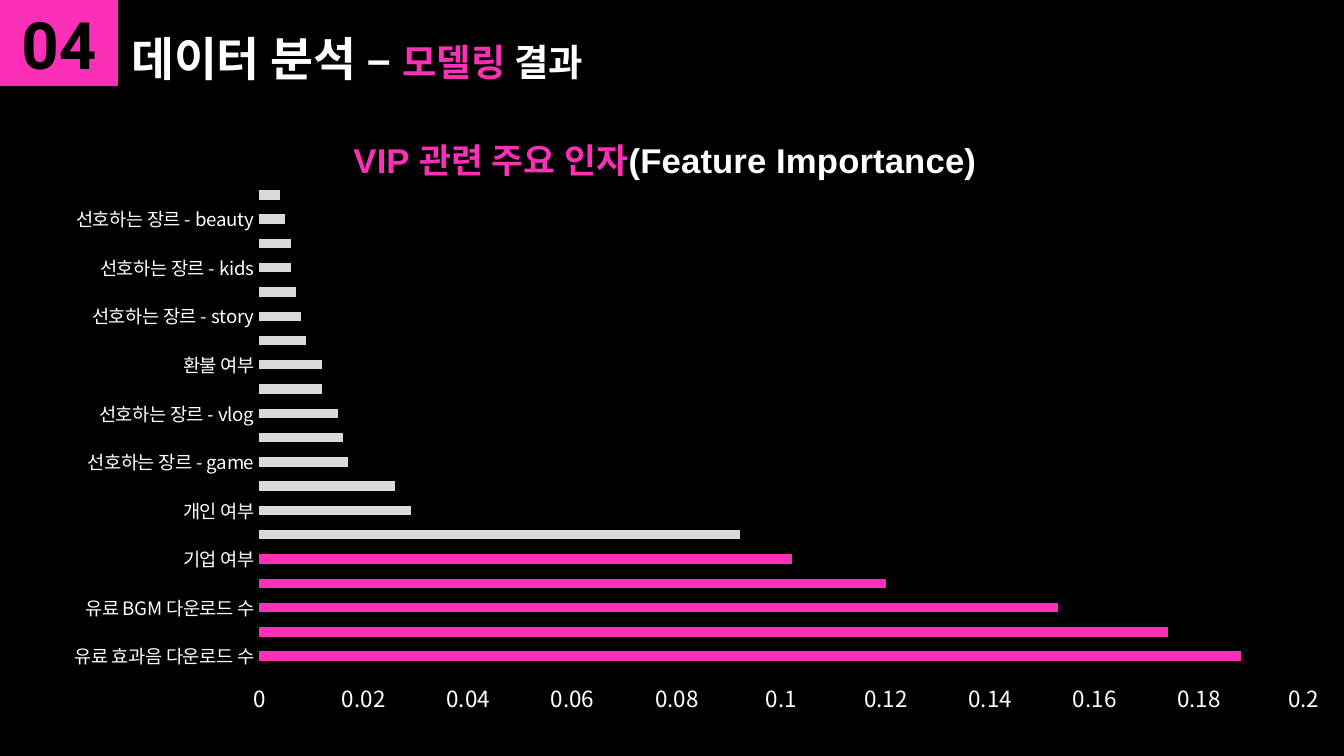
from dataclasses import dataclass

from lxml import etree
from pptx import Presentation
from pptx.chart.data import CategoryChartData
from pptx.dml.color import RGBColor
from pptx.enum.chart import XL_CHART_TYPE, XL_TICK_LABEL_POSITION, XL_TICK_MARK
from pptx.enum.shapes import MSO_SHAPE
from pptx.enum.text import MSO_ANCHOR, MSO_AUTO_SIZE, PP_ALIGN
from pptx.oxml.ns import qn
from pptx.util import Cm, Pt

BAR = XL_CHART_TYPE.BAR_CLUSTERED
LOW = XL_TICK_LABEL_POSITION.LOW
NO_TICK = XL_TICK_MARK.NONE
RECTANGLE = MSO_SHAPE.RECTANGLE
BOTTOM, MIDDLE = MSO_ANCHOR.BOTTOM, MSO_ANCHOR.MIDDLE
NO_FIT = MSO_AUTO_SIZE.NONE
LEFT, CENTER = PP_ALIGN.LEFT, PP_ALIGN.CENTER


@dataclass(frozen=True)
class Theme:
    black: RGBColor = RGBColor(0x00, 0x00, 0x00)
    white: RGBColor = RGBColor(0xFF, 0xFF, 0xFF)
    pink: RGBColor = RGBColor(0xFC, 0x30, 0xB6)
    gray: RGBColor = RGBColor(0xD9, 0xD9, 0xD9)
    korean: str = "Noto Sans CJK KR"
    latin: str = "Arial"
    digits: str = "Roboto"
    number: float = 35
    heading: float = 25
    subheading: float = 20
    chart_title: float = 18.6
    category: float = 10
    value: float = 12


THEME = Theme()

HIGHLIGHTED = 5
FEATURES = [
    ("유료 효과음 다운로드 수", 0.188),
    ("일일 로그인 횟수", 0.174),
    ("유료 BGM 다운로드 수", 0.153),
    ("무료 BGM 다운로드 수", 0.12),
    ("기업 여부", 0.102),
    ("무료 효과음 다운로드 수", 0.092),
    ("개인 여부", 0.029),
    ("학생 여부", 0.026),
    ("선호하는 장르 - game", 0.017),
    ("프리랜서 여부", 0.016),
    ("선호하는 장르 - vlog", 0.015),
    ("선호하는 장르 - talk", 0.012),
    ("환불 여부", 0.012),
    ("선호하는 장르 - review", 0.009),
    ("선호하는 장르 - story", 0.008),
    ("선호하는 장르 - eating", 0.007),
    ("선호하는 장르 - kids", 0.006),
    ("선호하는 장르 - pet", 0.006),
    ("선호하는 장르 - beauty", 0.005),
    ("선호하는 장르 - drone", 0.004),
]


def style_font(font, size, color, name, bold=False):
    font.size = Pt(size)
    font.bold = bold
    font.color.rgb = color
    font.name = name
    east_asian = etree.Element(qn("a:ea"), typeface=THEME.korean)
    font._rPr.find(qn("a:latin")).addnext(east_asian)


def add_span(para, text, size, color, name):
    span = para.add_run()
    span.text = text
    style_font(span.font, size, color, name, bold=True)


def set_layout(element, index, **settings):
    for old in element.findall(qn("c:layout")):
        element.remove(old)
    layout = etree.Element(qn("c:layout"))
    manual = etree.SubElement(layout, qn("c:manualLayout"))
    for name, value in settings.items():
        etree.SubElement(manual, qn(f"c:{name}"), val=str(value))
    element.insert(index, layout)


def add_number(page, left, top, width, height):
    box = page.shapes.add_shape(RECTANGLE, left, top, width, height)
    box.shadow.inherit = False
    box.fill.solid()
    box.fill.fore_color.rgb = THEME.pink
    box.line.fill.background()
    frame = box.text_frame
    frame.vertical_anchor = MIDDLE
    frame.margin_left = frame.margin_right = Cm(0.25)
    frame.margin_top = frame.margin_bottom = Cm(0.25)
    para = frame.paragraphs[0]
    para.alignment = CENTER
    add_span(para, "04", THEME.number, THEME.black, THEME.digits)


def place_heading(page, left, top, width, height):
    box = page.shapes.title
    box.left, box.top, box.width, box.height = left, top, width, height
    frame = box.text_frame
    frame.word_wrap = True
    frame.auto_size = NO_FIT
    frame.vertical_anchor = BOTTOM
    frame.margin_left = frame.margin_right = frame.margin_top = Cm(0.25)
    frame.margin_bottom = 0
    para = frame.paragraphs[0]
    para.alignment = LEFT
    for text, size, color in (
        ("데이터 분석 – ", THEME.heading, THEME.white),
        ("모델링", THEME.subheading, THEME.pink),
        (" 결과", THEME.subheading, THEME.white),
    ):
        add_span(para, text, size, color, THEME.korean)


def style_axis(axis, size):
    axis.major_tick_mark = axis.minor_tick_mark = NO_TICK
    axis.has_major_gridlines = False
    axis.format.line.fill.background()
    style_font(axis.tick_labels.font, size, THEME.white, THEME.korean)


def add_importance_chart(page, left, top, width, height):
    data = CategoryChartData()
    data.categories = [name for name, _ in FEATURES]
    data.add_series("Series 1", [value for _, value in FEATURES])
    chart = page.shapes.add_chart(BAR, left, top, width, height, data).chart
    chart.has_legend = False
    style_font(chart.font, THEME.category, THEME.white, THEME.latin)

    chart.has_title = True
    title = chart.chart_title
    para = title.text_frame.paragraphs[0]
    for text, color in (
        ("VIP 관련 주요 인자", THEME.pink),
        ("(Feature Importance)", THEME.white),
    ):
        add_span(para, text, THEME.chart_title, color, THEME.latin)
    set_layout(title._element, 1, xMode="edge", yMode="edge", x=0.26, y=0.04)

    plot = chart.plots[0]
    plot.gap_width = 157
    plot.overlap = -31
    plot.vary_by_categories = False
    series = plot.series[0]
    fills = [series.format.fill]
    fills += [series.points[i].format.fill for i in range(HIGHLIGHTED)]
    for fill, color in zip(fills, [THEME.gray] + [THEME.pink] * HIGHLIGHTED):
        fill.solid()
        fill.fore_color.rgb = color

    style_axis(chart.category_axis, THEME.category)
    style_axis(chart.value_axis, THEME.value)
    chart.value_axis.tick_label_position = LOW
    chart.value_axis.minimum_scale = 0
    chart.value_axis.maximum_scale = 0.2
    chart.value_axis.major_unit = 0.02
    chart.value_axis.tick_labels.number_format = "General"
    chart.value_axis.tick_labels.number_format_is_linked = False
    plot_area = chart._chartSpace.find(".//" + qn("c:plotArea"))
    set_layout(plot_area, 0, layoutTarget="inner", xMode="edge", yMode="edge",
               x=0.193, y=0.133, w=0.777, h=0.8)


def main():
    deck = Presentation()
    deck.slide_width, deck.slide_height = Cm(25.4), Cm(14.29)
    page = deck.slides.add_slide(deck.slide_layouts[5])
    page.background.fill.solid()
    page.background.fill.fore_color.rgb = THEME.black

    number_width, header_height = Cm(2.23), Cm(1.63)
    place_heading(page, number_width, 0, Cm(12.65), header_height)
    add_number(page, 0, 0, number_width, header_height)
    add_importance_chart(page, 0, Cm(1.93), deck.slide_width, Cm(11.58))
    deck.save("out.pptx")


if __name__ == "__main__":
    main()
